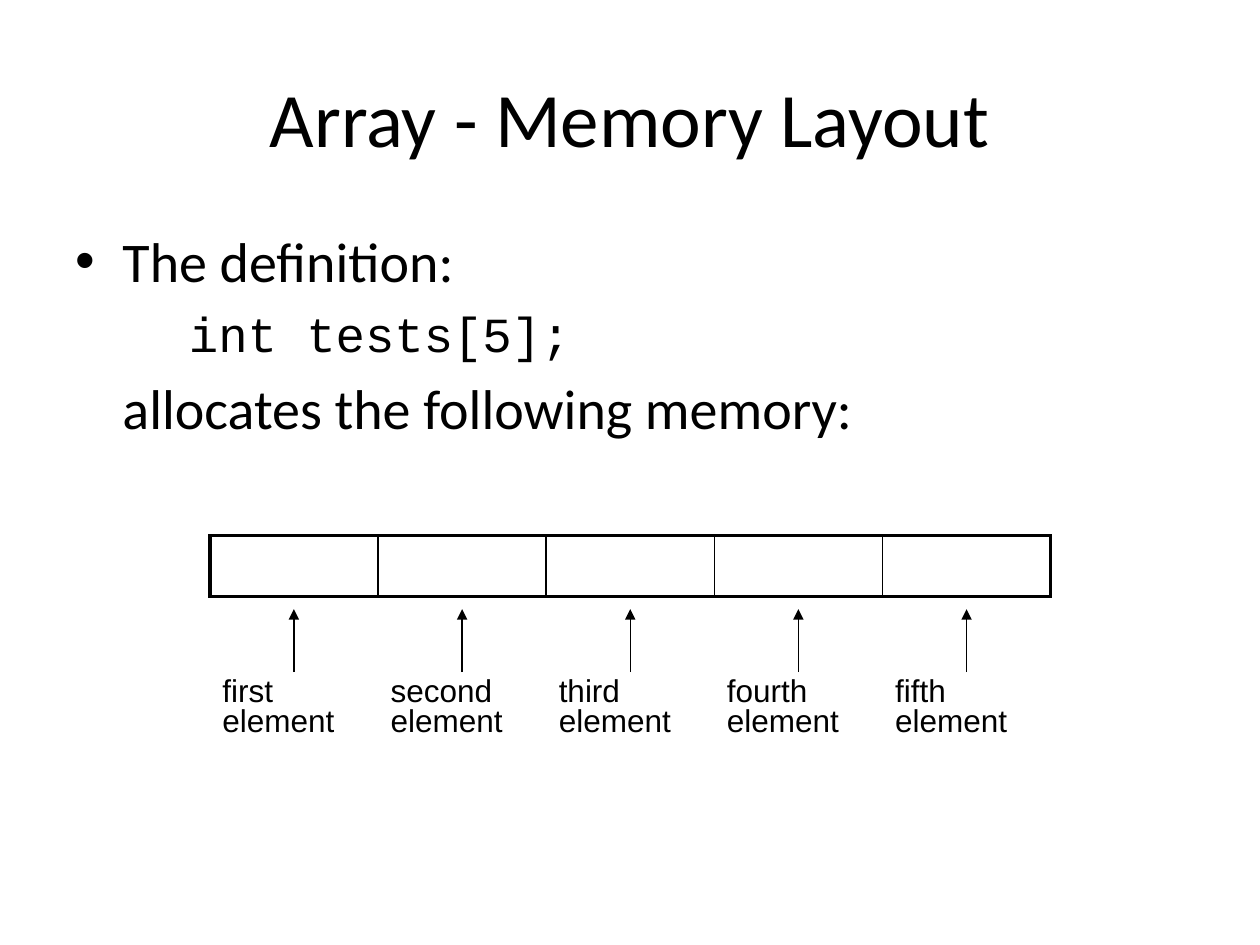
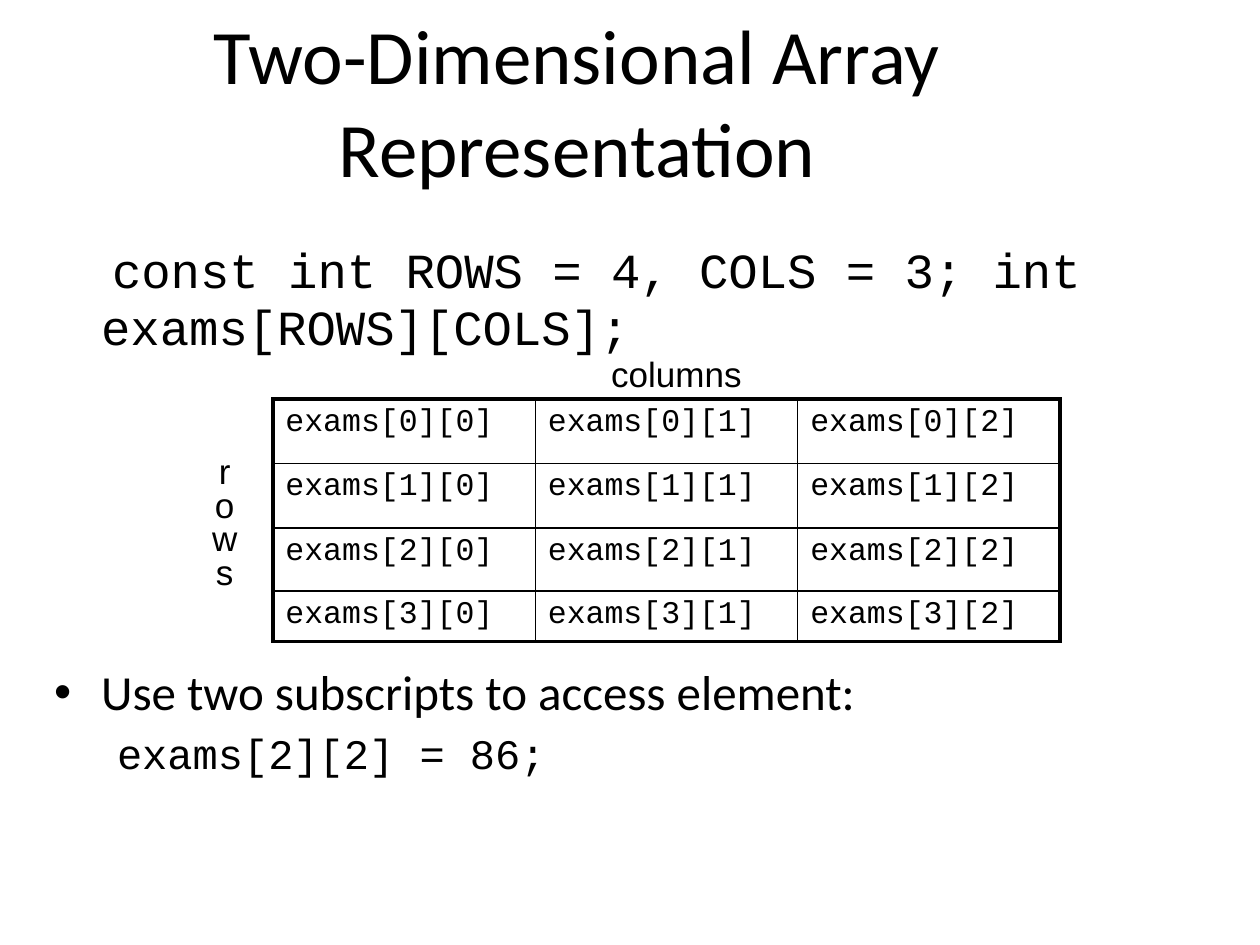
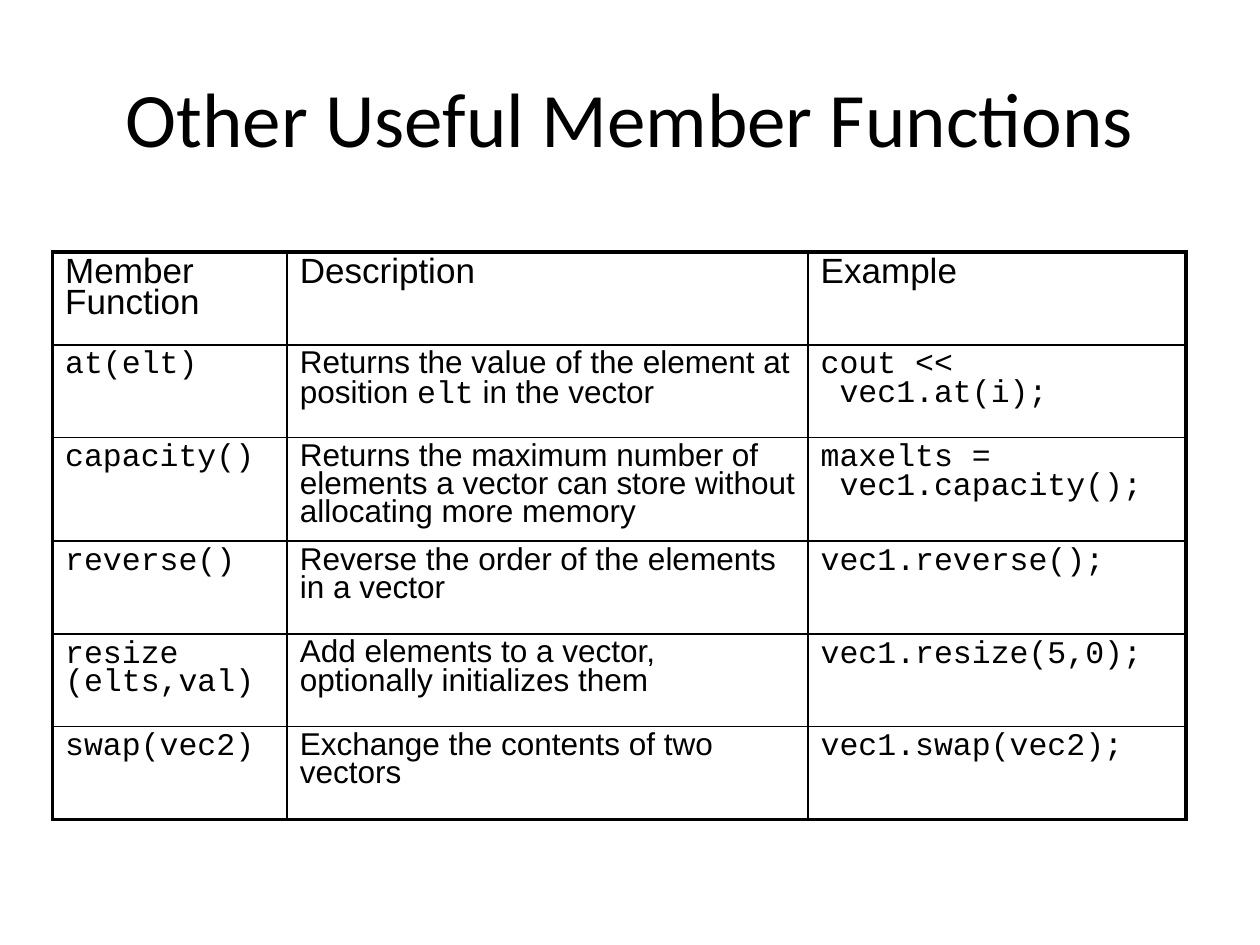
from lxml import etree
from pptx import Presentation
from pptx.dml.color import RGBColor
from pptx.enum.shapes import MSO_CONNECTOR
from pptx.enum.text import MSO_ANCHOR, MSO_AUTO_SIZE, PP_ALIGN
from pptx.oxml.ns import qn
from pptx.util import Cm, Pt

BLACK = RGBColor(0, 0, 0)
HEAD, SANS, MONO = "Calibri", "Arial", "Courier New"
CENTER, MIDDLE = PP_ALIGN.CENTER, MSO_ANCHOR.MIDDLE
NO_FIT, STRAIGHT = MSO_AUTO_SIZE.NONE, MSO_CONNECTOR.STRAIGHT
PLAIN_GRID = "{2D5ABB26-0587-4C30-8999-92F81FD0307C}"
TITLE_BOX = (1.27, 0.76, 22.86, 3.18)
THICK, THIN = 2.25, 1


def add_run(para, text, font, size):
    run = para.add_run()
    run.text = text
    run.font.name = font
    run.font.size = Pt(size)
    run.font.bold = False
    run.font.color.rgb = BLACK


def fill_frame(frame, paras, space=None, align=None):
    """Write paragraphs, each a list of (text, font, size) runs."""
    for i, runs in enumerate(paras):
        para = frame.paragraphs[0] if i == 0 else frame.add_paragraph()
        para.line_spacing = space
        para.alignment = align
        for run in runs:
            add_run(para, *run)


def add_title(deck, text, box=TITLE_BOX):
    """Add a title-only slide and place its title."""
    slide = deck.slides.add_slide(deck.slide_layouts[5])
    title = slide.shapes.title
    title.left, title.top, title.width, title.height = map(Cm, box)
    frame = title.text_frame
    frame.auto_size = NO_FIT
    frame.vertical_anchor = MIDDLE
    fill_frame(frame, [[(text, HEAD, 44)]], align=CENTER)
    return slide


def add_text(slide, box, paras, wrap=True, space=None, align=None):
    frame = slide.shapes.add_textbox(*map(Cm, box)).text_frame
    frame.word_wrap = wrap
    fill_frame(frame, paras, space, align)
    return frame.paragraphs


def indent(para, left, first=0, bullet=None, before=0):
    props = para._p.get_or_add_pPr()
    props.set("marL", str(Cm(left)))
    props.set("indent", str(Cm(first)))
    para.space_before = Pt(before)
    if bullet:
        etree.SubElement(props, qn("a:buFont"), typeface=SANS)
        etree.SubElement(props, qn("a:buChar"), char=bullet)


def add_border(cell, side, width):
    line = etree.SubElement(cell._tc.get_or_add_tcPr(), qn("a:ln" + side),
                            w=str(Pt(width)))
    fill = etree.SubElement(line, qn("a:solidFill"))
    etree.SubElement(fill, qn("a:srgbClr"), val=str(BLACK))


def add_grid(slide, left, top, cols, rows, cells, space=None, ruled=True):
    """Add a table with a thick frame and thin inner rules."""
    shape = slide.shapes.add_table(len(rows), len(cols), Cm(left), Cm(top),
                                   Cm(sum(cols)), Cm(sum(rows)))
    table = shape.table
    table.first_row = table.horz_banding = False
    table._tbl.tblPr.find(qn("a:tableStyleId")).text = PLAIN_GRID
    for col, width in zip(table.columns, cols):
        col.width = Cm(width)
    for row, height in zip(table.rows, rows):
        row.height = Cm(height)
    for r in range(len(rows)):
        for c in range(len(cols)):
            cell = table.cell(r, c)
            edges = {"L": c == 0, "R": c == len(cols) - 1,
                     "T": r == 0, "B": r == len(rows) - 1}
            if ruled:
                for side, outer in edges.items():
                    add_border(cell, side, THICK if outer else THIN)
            cell.fill.background()
            fill_frame(cell.text_frame, cells[r][c], space)


def add_arrow(slide, x, start, end):
    arrow = slide.shapes.add_connector(STRAIGHT, Cm(x), Cm(start),
                                       Cm(x), Cm(end))
    arrow.line.color.rgb = BLACK
    arrow.line.width = Pt(0.75)
    etree.SubElement(arrow.line._get_or_add_ln(), qn("a:tailEnd"),
                     type="triangle")
    etree.SubElement(arrow._element.spPr, qn("a:effectLst"))


def code(*lines):
    return [[(line, MONO, 18)] for line in lines]


def say(*lines, size=18):
    return [[(line, SANS, size)] for line in lines]


def add_layout(deck):
    slide = add_title(deck, "Array - Memory Layout")
    intro, sample, rest = add_text(slide, (1.27, 4.45, 22.86, 12.57), [
        [("The definition:", HEAD, 32)],
        [("int tests[5];", MONO, 28)],
        [("allocates the following memory:", HEAD, 32)]])
    indent(intro, 0.95, -0.95, "•")
    indent(sample, 2.29, before=5.6)
    indent(rest, 0.95, before=6.4)

    names = ["first", "second", "third", "fourth", "fifth"]
    left, wide, low = 4.23, 3.39, 13.55
    cols = [wide] * len(names)
    add_grid(slide, left, 10.8, cols, [1.23], [[[] for _ in names]])
    add_grid(slide, left, low, cols, [2.33],
             [[say(name + " element") for name in names]],
             space=0.85, ruled=False)
    for i in range(len(names)):
        add_arrow(slide, left + wide * (i + 0.5), low, 12.28)


def add_matrix(deck):
    slide = add_title(deck, "Two-Dimensional Array Representation",
                      (0.84, 0.43, 21.59, 3.18))
    sample, = add_text(slide, (0.84, 4.78, 21.59, 2.2), [
        [("const int ROWS = 4, COLS = 3; int exams[ROWS][COLS];", MONO, 28)],
    ], space=0.97)
    indent(sample, 0.95, 0.22)

    cells = [[code(f"exams[{r}][{c}]") for c in range(3)] for r in range(4)]
    add_grid(slide, 5.5, 8.04, [5.29] * 3, [1.3, 1.3, 1.27, 1.02], cells)
    add_text(slide, (12.07, 6.99, 3.15, 1.09), say("columns", size=20),
             wrap=False)
    add_text(slide, (4.02, 9.1, 1.02, 2.97), say(*"rows", size=20),
             wrap=False, space=0.8, align=CENTER)

    usage, sample = add_text(slide, (0.84, 13.34, 21.59, 2.6), [
        [("Use two subscripts to access element:", HEAD, 28)],
        [("exams[2][2] = 86;", MONO, 24)]], space=0.9)
    indent(usage, 0.95, -0.95, "•")
    indent(sample, 1.27, before=7)


def add_members(deck):
    slide = add_title(deck, "Other Useful Member Functions")
    lookup = [[("Returns the value of the element at position ", SANS, 18),
               ("elt", MONO, 18), (" in the vector", SANS, 18)]]
    cells = [
        [say("Member", "Function", size=20), say("Description", size=20),
         say("Example", size=20)],
        [code("at(elt)"), lookup, code("cout <<", " vec1.at(i);")],
        [code("capacity()"),
         say("Returns the maximum number of elements a vector can store "
             "without allocating more memory"),
         code("maxelts =", " vec1.capacity();")],
        [code("reverse()"),
         say("Reverse the order of the elements in a vector"),
         code("vec1.reverse();")],
        [code("resize", "(elts,val)"),
         say("Add elements to a vector, optionally initializes them"),
         code("vec1.resize(5,0);")],
        [code("swap(vec2)"), say("Exchange the contents of two vectors"),
         code("vec1.swap(vec2);")],
    ]
    rows = [1.87, 1.87, 2.09, 1.87, 1.87, 1.87]
    add_grid(slide, 1.06, 5.08, [4.73, 10.5, 7.62], rows, cells, space=0.8)


def main():
    deck = Presentation()
    deck.slide_width, deck.slide_height = Cm(25.4), Cm(19.05)
    add_layout(deck)
    add_matrix(deck)
    add_members(deck)
    deck.save("out.pptx")


if __name__ == "__main__":
    main()
